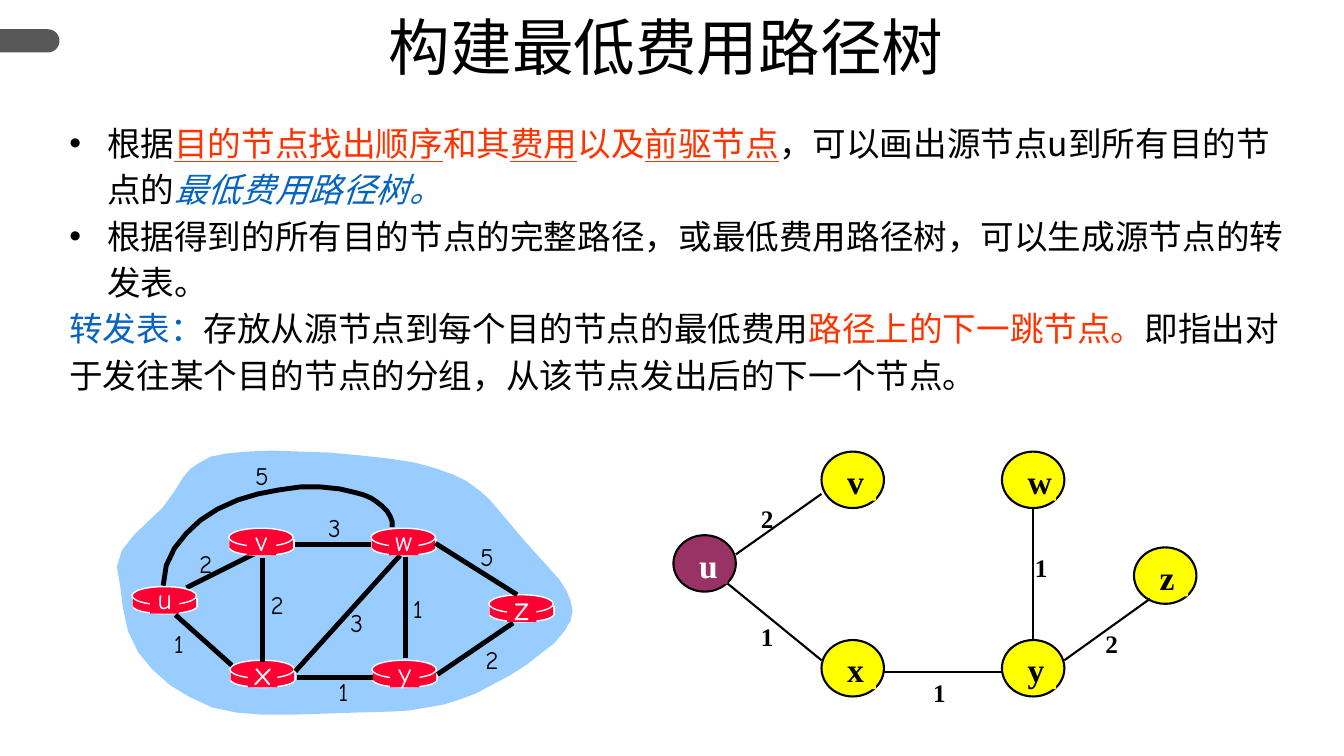
from lxml.etree import SubElement as Sub
from pptx import Presentation
from pptx.dml.color import RGBColor
from pptx.enum.shapes import MSO_CONNECTOR as Link, MSO_SHAPE as Preset
from pptx.enum.text import MSO_ANCHOR as Anchor, PP_ALIGN as Align
from pptx.oxml.ns import qn
from pptx.util import Pt

BLACK, WHITE, RED, BLUE = "000000", "FFFFFF", "FF3300", "0563C1"
ROUTER, CLOUD, YELLOW, PURPLE = "FF0033", "99CCFF", "FFFF00", "993366"
CJK = "Noto Sans CJK SC"
ROUTER_TEXT = {"name": "Comic Neue", "size": Pt(20)}
TREE_TEXT = {"name": "Times New Roman", "size": Pt(24), "bold": True}

BODY = [
    (True, [
        ("根据", BLACK, {}),
        ("目的节点找出顺序", RED, {"underline": True}),
        ("和其", RED, {}),
        ("费用", RED, {"underline": True}),
        ("以及", RED, {}),
        ("前驱节点", RED, {"underline": True}),
        ("，可以画出源节点u到所有目的节点的", BLACK, {}),
        ("最低费用路径树。", BLUE, {"italic": True})]),
    (True, [
        ("根据得到的所有目的节点的完整路径，或最低费用路径树，可以生成源节点的转发表。", BLACK, {})]),
    (False, [
        ("转发表：", BLUE, {}),
        ("存放从源节点到每个目的节点的最低费用", BLACK, {}),
        ("路径上的下一跳节点。", RED, {}),
        ("即指出对于发往某个目的节点的分组，从该节点发出后的下一个节点。", BLACK, {})]),
]

CLOUD_EDGE = [
    (83.5, 404.6), (87.1, 393.1), (95, 383), (105.1, 373), (115.9, 362.9), (123.8, 352.1),
    (131, 340.6), (136.1, 334.8), (142.6, 330.5), (150.5, 326.2), (161.3, 324), (176.4, 322.6),
    (193.7, 321.8), (214.6, 322.6), (235.4, 323.3), (257.8, 325.4), (277.9, 327.6),
    (296.6, 330.5), (311.8, 334.8), (324, 339.1), (334.1, 344.2), (342.7, 350.6),
    (349.9, 357.1), (362.2, 371.5), (373.7, 385.2), (386.6, 399.6), (399.6, 414),
    (404.6, 421.9), (407.5, 429.1), (409, 436.3), (407.5, 443.5), (403.2, 450.7),
    (396, 459.4), (386.6, 466.6), (376.6, 474.5), (364.3, 482.4), (352.1, 488.9),
    (339.8, 495.4), (328.3, 499.7), (316.8, 503.3), (304.6, 505.4), (291.6, 507.6),
    (278.6, 508.3), (253.4, 509), (229.7, 509.8), (208.1, 510.5), (187.9, 510.5),
    (169.2, 509), (151.9, 505.4), (136.1, 498.2), (121.7, 489.6), (108.7, 478.1),
    (98.6, 465.8), (91.4, 450.7), (87.8, 434.2), (85.7, 417.6)]
ARC_U_W = [
    (280.1, 376.6), (280.1, 372.2), (278.6, 368.6), (276.5, 365), (272.9, 361.4),
    (269.3, 358.6), (265, 355.7), (259.9, 353.5), (254.9, 352.1), (242.6, 349.2),
    (229, 347.8), (214.6, 347.8), (199.4, 349.9), (184.3, 352.8), (169.9, 357.1),
    (155.5, 363.6), (143.3, 371.5), (133.2, 380.9), (124.6, 391.7), (118.8, 403.9),
    (116.6, 418.3)]

ROUTERS = [("u", 94.3, 419, 20), ("x", 164.2, 471.6, 24), ("v", 163.4, 377.3, 20),
           ("w", 265, 377.3, 20), ("y", 265.7, 471.6, 20), ("z", 349.2, 424.8, 24)]
LINK_U_V = (133.2, 419.8, 183.6, 394.6)
LINKS = [(289.4, 398.2, 289.4, 470.2), (187.2, 398.9, 187.2, 473), (211, 479.5, 285.8, 396.7),
         (312.5, 481.7, 366.5, 445), (212.4, 483.8, 266.4, 483.8), (125.3, 439.2, 165.6, 475.2),
         (211, 388.8, 265, 388.8), (311, 388.1, 369.4, 424.8)]
LINK_COSTS = [("2", 146.9, 388.1), ("2", 198, 417.6), ("1", 127.8, 445), ("3", 254.9, 430.6),
              ("1", 245.2, 479.5), ("1", 298.4, 420.5), ("2", 351.4, 456.5), ("5", 347.8, 383),
              ("3", 239, 362.2), ("5", 187.2, 325.4)]
TREE_NODES = [("u", 481, 382.3, PURPLE, WHITE), ("y", 715.7, 457.2, YELLOW, BLACK),
              ("x", 586.8, 457.2, YELLOW, BLACK), ("w", 715.7, 322.6, YELLOW, BLACK),
              ("v", 586.8, 322.6, YELLOW, BLACK), ("z", 810, 391, YELLOW, BLACK)]
TREE_EDGES = [(738, 362.9, 738, 457.2), (631.4, 480.2, 715.7, 480.2), (586.8, 352.8, 525.6, 396),
              (821.5, 427.7, 760.3, 471.6), (519.8, 416.9, 586.8, 471.6)]
TREE_COSTS = [("2", 536.4, 355.7), ("1", 732.2, 391), ("2", 782.6, 445), ("1", 536.4, 439.9),
              ("1", 659.5, 480.2)]


def paint(target, color):
    """Give a fill or a font colour a solid hex colour."""
    if hasattr(target, "solid"):
        target.solid()
        target.fore_color.rgb = RGBColor.from_string(color)
    else:
        target.color.rgb = RGBColor.from_string(color)


def dress(shape, fill=None, line=None, width=1):
    """Set the fill and outline of a shape and drop its shadow."""
    shape.shadow.inherit = False
    for part, color in ((shape.fill, fill), (shape.line.fill, line)):
        if color:
            paint(part, color)
        else:
            part.background()
    if line:
        shape.line.width = Pt(width)
    return shape


def add_preset(page, kind, bounds, fill, line=None, width=1):
    """Add a preset shape at left, top, width, height."""
    return dress(page.shapes.add_shape(kind, *map(Pt, bounds)), fill, line, width)


def add_outline(page, points, closed, **look):
    """Add a freeform through the points."""
    first, *rest = [(Pt(x), Pt(y)) for x, y in points]
    builder = page.shapes.build_freeform(*first)
    builder.add_line_segments(rest, close=closed)
    return dress(builder.convert_to_shape(), **look)


def add_line(page, ends, color, width):
    """Add a straight connector without a shadow."""
    line = page.shapes.add_connector(Link.STRAIGHT, *map(Pt, ends))
    paint(line.line.fill, color)
    line.line.width = Pt(width)
    Sub(line._element.spPr, qn("a:effectLst"))


def add_span(para, text, color, formats):
    """Add a formatted run, with its font for Chinese characters."""
    span = para.add_run()
    span.text = text
    for name, value in formats.items():
        setattr(span.font, name, value)
    paint(span.font, color)
    Sub(span._r.get_or_add_rPr(), qn("a:ea"), typeface=CJK)


def add_text(box, text, color, formats, align, spacing=1.0, wrap=True):
    """Write one paragraph into a shape or text box."""
    frame = box.text_frame
    frame.word_wrap = wrap
    frame.vertical_anchor = Anchor.TOP
    para = frame.paragraphs[0]
    para.alignment = align
    para.line_spacing = spacing
    add_span(para, text, color, formats)


def add_label(page, bounds, *args, **options):
    """Add a text box with one paragraph."""
    add_text(page.shapes.add_textbox(*map(Pt, bounds)), *args, **options)


def add_body(page):
    """Add the explanation with its bullets and coloured words."""
    box = add_preset(page, Preset.RECTANGLE, (42.5, 79.9, 889.9, 208.1), WHITE)
    frame = box.text_frame
    frame.word_wrap = True
    frame.vertical_anchor = Anchor.TOP
    for index, (bulleted, spans) in enumerate(BODY):
        para = frame.add_paragraph() if index else frame.paragraphs[0]
        if bulleted:
            props = para._p.get_or_add_pPr()
            props.set("marL", str(Pt(27)))
            props.set("indent", str(-Pt(27)))
            Sub(props, qn("a:buFont"), typeface="Arial")
            Sub(props, qn("a:buChar"), char="•")
        para.alignment = Align.LEFT
        para.line_spacing = 1.15
        for text, color, extra in spans:
            add_span(para, text, color, {"name": CJK, "size": Pt(24), **extra})


def add_router(page, x, y):
    """Add the flat cylinder of a router."""
    add_preset(page, Preset.OVAL, (x + 0.5, y + 8.6, 46, 10.8), ROUTER, WHITE)
    for side in (x + 0.5, x + 46.5):
        add_line(page, (side, y + 7.9, side, y + 14.4), WHITE, 1)
    add_preset(page, Preset.RECTANGLE, (x + 0.5, y + 7.9, 45.4, 6.5), ROUTER)
    add_preset(page, Preset.OVAL, (x, y, 46, 13), ROUTER, WHITE)


def add_network(page):
    """Draw the router network on its cloud."""
    add_outline(page, CLOUD_EDGE, True, fill=CLOUD)
    add_line(page, LINK_U_V, BLACK, 3.5)
    for name, x, y, size in ROUTERS:
        add_router(page, x, y)
    for ends in LINKS:
        add_line(page, ends, BLACK, 3.5)
    add_outline(page, ARC_U_W, False, line=BLACK, width=3.5)
    for name, x, y, size in ROUTERS:
        add_preset(page, Preset.RECTANGLE, (x + 13, y + 1.4, 20.9, 18), ROUTER)
        height = size * 1.15 + 11.6
        add_label(page, (x + 7, y + 10.2 - height / 2, 33, height), name, WHITE,
                  {**ROUTER_TEXT, "size": Pt(size)}, Align.CENTER, wrap=False)
    for cost, center, top in LINK_COSTS:
        add_label(page, (center - 15, top, 30, 31.7), cost, BLACK,
                  {**ROUTER_TEXT, "size": Pt(18)}, Align.CENTER, wrap=False)


def add_tree(page):
    """Draw the tree of lowest-cost paths."""
    for cost, x, y in TREE_COSTS:
        add_label(page, (x, y, 28, 26.4), cost, BLACK,
                  {**TREE_TEXT, "size": Pt(18)}, Align.JUSTIFY)
    for name, x, y, fill, color in TREE_NODES:
        add_preset(page, Preset.OVAL, (x, y, 44.6, 40.3), fill, BLACK, 1.5)
        patch = add_preset(page, Preset.RECTANGLE, (x + 11.3, y + 8.6, 27.5, 26.4), fill)
        add_text(patch, name, color, TREE_TEXT, Align.JUSTIFY, 0.8)
    for ends in TREE_EDGES:
        add_line(page, ends, BLACK, 1.5)


def main():
    """Build the slide and save it."""
    deck = Presentation()
    deck.slide_width, deck.slide_height = Pt(960), Pt(540)
    page = deck.slides.add_slide(deck.slide_layouts[6])
    tab = add_preset(page, Preset.ROUND_2_SAME_RECTANGLE, (12.95, 7.95, 16.6, 42.5), "575757")
    tab.adjustments[0] = 0.5
    tab.rotation = 90
    add_label(page, (0, 8.6, 952, 90), "构建最低费用路径树", BLACK,
              {"name": "Arial", "size": Pt(44)}, Align.CENTER, 0.9)
    add_body(page)
    add_network(page)
    add_tree(page)
    deck.save("out.pptx")


if __name__ == "__main__":
    main()
